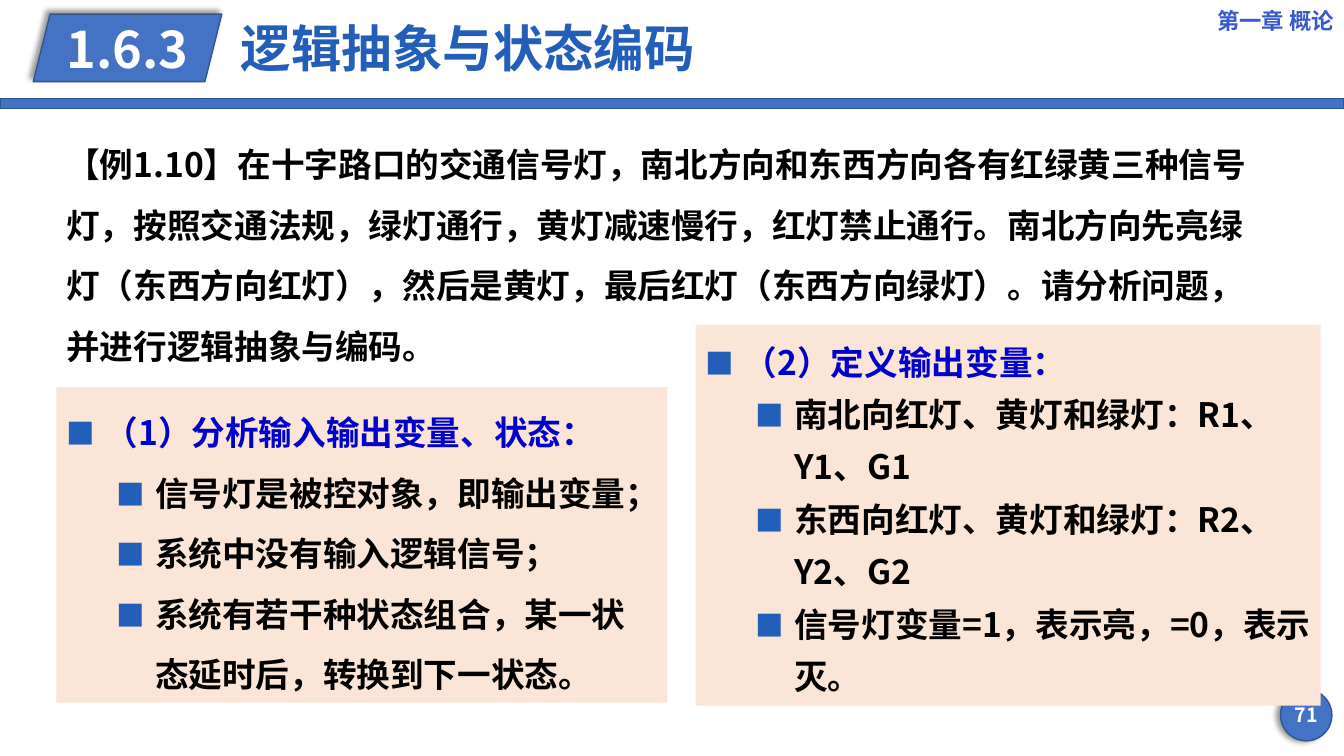
from lxml.etree import SubElement
from pptx import Presentation
from pptx.dml.color import RGBColor
from pptx.enum.shapes import MSO_SHAPE
from pptx.enum.text import MSO_ANCHOR, MSO_AUTO_SIZE, PP_ALIGN
from pptx.oxml import parse_xml
from pptx.oxml.ns import nsdecls, qn
from pptx.util import Inches, Pt

FONT = "Noto Sans CJK SC"
BLACK = RGBColor(0x00, 0x00, 0x00)
WHITE = RGBColor(0xFF, 0xFF, 0xFF)
BLUE = RGBColor(0x44, 0x72, 0xC4)
OUTLINE = RGBColor(0x32, 0x54, 0x91)
TITLE_BLUE = RGBColor(0x23, 0x5E, 0xB8)
CHAPTER_BLUE = RGBColor(0x38, 0x59, 0xCD)
HEADING_BLUE = RGBColor(0x00, 0x00, 0xCC)
PEACH = RGBColor(0xFB, 0xE5, 0xD6)

EXAMPLE = (
    "【例1.10】在十字路口的交通信号灯，南北方向和东西方向各有红绿黄三种信号灯，"
    "按照交通法规，绿灯通行，黄灯减速慢行，红灯禁止通行。"
    "南北方向先亮绿灯（东西方向红灯），然后是黄灯，最后红灯（东西方向绿灯）。"
    "请分析问题，并进行逻辑抽象与编码。"
)
INPUT_POINTS = [
    "信号灯是被控对象，即输出变量；",
    "系统中没有输入逻辑信号；",
    "系统有若干种状态组合，某一状态延时后，转换到下一状态。",
]
OUTPUT_POINTS = [
    "南北向红灯、黄灯和绿灯：R1、Y1、G1",
    "东西向红灯、黄灯和绿灯：R2、Y2、G2",
    "信号灯变量=1，表示亮，=0，表示灭。",
]


def write(para, text, size, color, align=PP_ALIGN.LEFT, spacing=1.0):
    para.text = text
    para.alignment = align
    para.line_spacing = spacing
    para.font.size = Pt(size)
    para.font.bold = True
    para.font.color.rgb = color
    para.font.name = FONT
    defaults = para._p.pPr.find(qn("a:defRPr"))
    SubElement(defaults, qn("a:ea"), typeface=FONT)


def add_bullet(para, margin):
    properties = para._p.pPr
    properties.set("marL", str(Inches(margin)))
    properties.set("indent", str(Inches(-0.38)))
    defaults = properties.find(qn("a:defRPr"))
    for markup in (
        f'<a:buClr {nsdecls("a")}><a:srgbClr val="{TITLE_BLUE}"/></a:buClr>',
        f'<a:buSzPct {nsdecls("a")} val="85000"/>',
        f'<a:buFont {nsdecls("a")} typeface="{FONT}"/>',
        f'<a:buChar {nsdecls("a")} char="■"/>',
    ):
        defaults.addprevious(parse_xml(markup))


def add_panel(page, kind, box, fill, outline=None):
    panel = page.shapes.add_shape(kind, *map(Inches, box))
    panel.shadow.inherit = False
    panel.fill.solid()
    panel.fill.fore_color.rgb = fill
    if outline is None:
        panel.line.fill.background()
    else:
        panel.line.color.rgb = outline
        panel.line.width = Pt(1)
    return panel


def cast_shadow(shape, degrees):
    effects = shape._element.spPr.find(qn("a:effectLst"))
    effects.append(parse_xml(
        f'<a:outerShdw {nsdecls("a")} blurRad="{Pt(4)}" dist="{Pt(3)}" '
        f'dir="{degrees * 60000}" algn="ctr" rotWithShape="0">'
        '<a:srgbClr val="000000"><a:alpha val="40000"/></a:srgbClr></a:outerShdw>'
    ))


def add_label(page, box, text, size, color, align, anchor=MSO_ANCHOR.MIDDLE, spacing=1.0):
    frame = page.shapes.add_textbox(*map(Inches, box)).text_frame
    frame.word_wrap = True
    frame.vertical_anchor = anchor
    write(frame.paragraphs[0], text, size, color, align, spacing)
    return frame


def add_header(page, width):
    add_panel(page, MSO_SHAPE.RECTANGLE, (0, 0.98, width, 0.1), BLUE, OUTLINE)
    add_label(page, (width - 1.97, 0, 1.97, 0.4), "第一章 概论", 16, CHAPTER_BLUE, PP_ALIGN.RIGHT)

    badge = add_panel(page, MSO_SHAPE.PARALLELOGRAM, (0.33, 0.14, 1.87, 0.67), BLUE, OUTLINE)
    cast_shadow(badge, 225)
    badge.text_frame.word_wrap = False
    badge.text_frame.vertical_anchor = MSO_ANCHOR.MIDDLE
    write(badge.text_frame.paragraphs[0], "1.6.3", 36, WHITE, PP_ALIGN.CENTER)

    title = page.shapes.title
    title.left, title.top, title.width, title.height = map(Inches, (2.29, 0.11, 5.08, 0.8))
    title.text_frame.auto_size = MSO_AUTO_SIZE.NONE
    title.text_frame.vertical_anchor = MSO_ANCHOR.MIDDLE
    write(title.text_frame.paragraphs[0], "逻辑抽象与状态编码", 36, TITLE_BLUE, spacing=0.9)


def add_page_number(page, left, top, size):
    disc = add_panel(page, MSO_SHAPE.OVAL, (left, top, size, size), BLUE, OUTLINE)
    cast_shadow(disc, 180)
    add_label(page, (left - 0.06, top + 0.05, size + 0.12, 0.4), "71", 14, WHITE, PP_ALIGN.CENTER)


def add_example(page, box):
    frame = add_label(page, box, EXAMPLE, 24, BLACK, PP_ALIGN.LEFT, MSO_ANCHOR.TOP, 1.5)
    frame.auto_size = MSO_AUTO_SIZE.SHAPE_TO_FIT_TEXT


def add_step(page, box, heading, points, spacing):
    frame = add_panel(page, MSO_SHAPE.RECTANGLE, box, PEACH).text_frame
    frame.word_wrap = True
    frame.auto_size = MSO_AUTO_SIZE.SHAPE_TO_FIT_TEXT
    frame.vertical_anchor = MSO_ANCHOR.TOP
    write(frame.paragraphs[0], heading, 24, HEADING_BLUE, spacing=spacing)
    add_bullet(frame.paragraphs[0], 0.38)
    for point in points:
        para = frame.add_paragraph()
        write(para, point, 24, BLACK, spacing=spacing)
        add_bullet(para, 0.88)


def main():
    deck = Presentation()
    deck.slide_width, deck.slide_height = Inches(13.33), Inches(7.5)
    page = deck.slides.add_slide(deck.slide_layouts[5])
    add_header(page, 13.33)
    add_page_number(page, 12.7, 6.84, 0.51)
    add_example(page, (0.56, 1.18, 12.12, 2.45))
    add_step(page, (0.56, 3.84, 6.06, 3.13), "（1）分析输入输出变量、状态：", INPUT_POINTS, 1.5)
    add_step(page, (6.9, 3.22, 6.2, 3.78), "（2）定义输出变量：", OUTPUT_POINTS, 1.3)
    deck.save("out.pptx")


if __name__ == "__main__":
    main()
